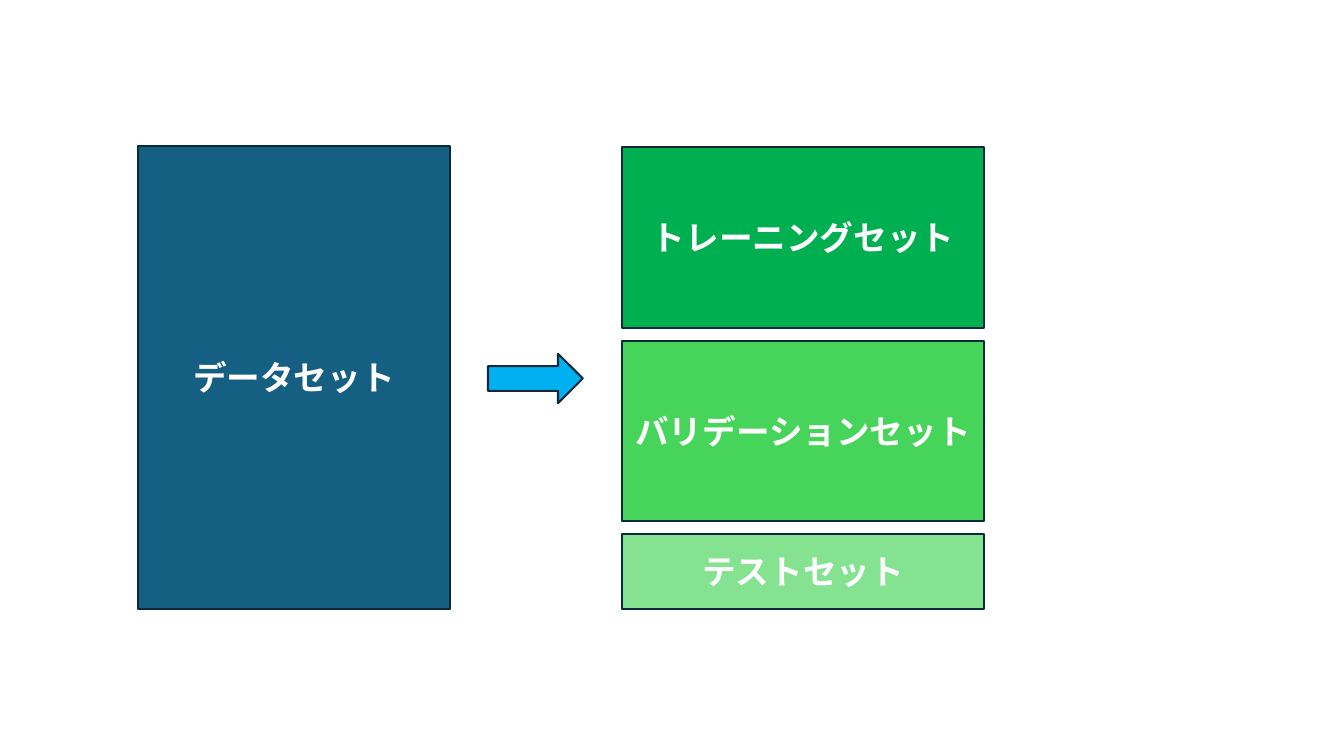
from dataclasses import dataclass

import lxml.etree
import pptx
import pptx.dml.color
import pptx.enum.shapes
import pptx.enum.text
import pptx.oxml.ns
import pptx.shapes.autoshape
import pptx.slide
import pptx.util

RGBColor = pptx.dml.color.RGBColor
Inches = pptx.util.Inches
ShapeKind = pptx.enum.shapes.MSO_SHAPE

WHITE = RGBColor(0xFF, 0xFF, 0xFF)
OUTLINE = RGBColor(0x09, 0x2A, 0x39)
DATASET_BLUE = RGBColor(0x15, 0x60, 0x82)
ARROW_BLUE = RGBColor(0x00, 0xB0, 0xF0)
TRAINING_GREEN = RGBColor(0x00, 0xB0, 0x50)
VALIDATION_GREEN = RGBColor(0x47, 0xD4, 0x5A)
TEST_GREEN = RGBColor(0x84, 0xE2, 0x91)

FONT = "Noto Sans CJK JP"
SUBSET_LEFT = 6.17
SUBSET_TOP = 1.46
SUBSET_WIDTH = 3.59
SUBSET_GAP = 0.13


@dataclass(frozen=True)
class Box:
    """Position and size in inches."""
    left: float
    top: float
    width: float
    height: float


@dataclass(frozen=True)
class Subset:
    label: str
    height: float
    color: RGBColor


SUBSETS = (
    Subset("トレーニングセット", 1.79, TRAINING_GREEN),
    Subset("バリデーションセット", 1.79, VALIDATION_GREEN),
    Subset("テストセット", 0.74, TEST_GREEN),
)


def add_outlined_shape(
    slide: pptx.slide.Slide, kind: ShapeKind, box: Box, color: RGBColor
) -> pptx.shapes.autoshape.Shape:
    shape = slide.shapes.add_shape(
        kind, Inches(box.left), Inches(box.top), Inches(box.width), Inches(box.height)
    )
    shape.shadow.inherit = False
    shape.fill.solid()
    shape.fill.fore_color.rgb = color
    shape.line.color.rgb = OUTLINE
    shape.line.width = pptx.util.Pt(1.5)
    return shape


def add_labelled_rectangle(
    slide: pptx.slide.Slide, label: str, box: Box, color: RGBColor
) -> None:
    shape = add_outlined_shape(slide, ShapeKind.RECTANGLE, box, color)
    shape.text_frame.word_wrap = True
    shape.text_frame.vertical_anchor = pptx.enum.text.MSO_ANCHOR.MIDDLE
    paragraph = shape.text_frame.paragraphs[0]
    paragraph.alignment = pptx.enum.text.PP_ALIGN.CENTER
    run = paragraph.add_run()
    run.text = label
    run.font.size = pptx.util.Pt(24)
    run.font.bold = True
    run.font.color.rgb = WHITE
    run.font.name = FONT
    # Japanese glyphs take the East Asian typeface, not the Latin one.
    properties = run._r.get_or_add_rPr()
    lxml.etree.SubElement(properties, pptx.oxml.ns.qn("a:ea"), typeface=FONT)


def main() -> None:
    presentation = pptx.Presentation()
    presentation.slide_width = Inches(13.33)
    presentation.slide_height = Inches(7.5)
    slide = presentation.slides.add_slide(presentation.slide_layouts[6])

    add_labelled_rectangle(
        slide, "データセット", Box(1.37, 1.45, 3.09, 4.59), DATASET_BLUE
    )
    add_outlined_shape(
        slide, ShapeKind.RIGHT_ARROW, Box(4.84, 3.51, 0.94, 0.49), ARROW_BLUE
    )

    top = SUBSET_TOP
    for subset in SUBSETS:
        box = Box(SUBSET_LEFT, top, SUBSET_WIDTH, subset.height)
        add_labelled_rectangle(slide, subset.label, box, subset.color)
        top += subset.height + SUBSET_GAP

    presentation.save("out.pptx")


if __name__ == "__main__":
    main()
